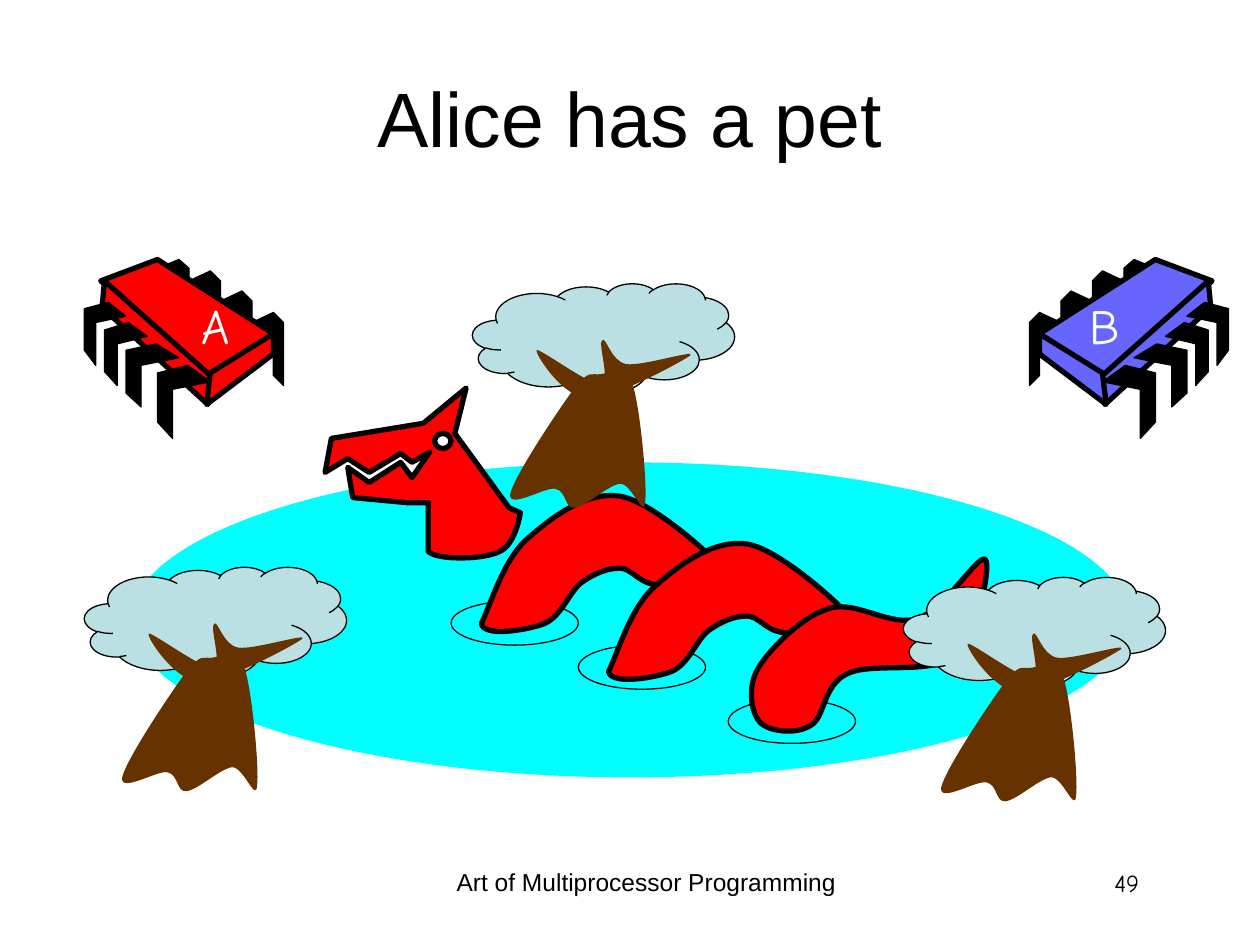
from dataclasses import dataclass

from lxml import etree
from pptx import Presentation
from pptx import util as u
from pptx.dml.color import RGBColor
from pptx.enum import shapes, text
from pptx.oxml.ns import qn


@dataclass(frozen=True)
class Theme:
    ink: str = "000000"
    paper: str = "FFFFFF"
    red: str = "FF0000"
    blue: str = "6666FF"
    water: str = "00FFFF"
    leaf: str = "BBE0E3"
    bark: str = "663300"
    sans: str = "Arial"
    hand: str = "Comic Neue"
    title: int = 44
    label: int = 28
    footer: int = 14
    thin: float = 0.75
    thick: float = 3


THEME = Theme()
PX = u.Inches(1) // 100
LEFT, CENTER, RIGHT = text.PP_ALIGN.LEFT, text.PP_ALIGN.CENTER, text.PP_ALIGN.RIGHT
ELLIPSE, CLOUD = shapes.MSO_SHAPE.OVAL, shapes.MSO_SHAPE.CLOUD_CALLOUT

BACK_LEG = [(0, 8), (17, 0), (25, 8), (25, 58), (17, 50), (17, 17), (0, 25)]
SHORT_LEG = [(0, 7), (17, 0), (25, 7), (25, 50), (17, 43), (17, 15), (0, 22)]
BACK_LEGS = [(BACK_LEG, 200, 248), (BACK_LEG, 175, 231),
             (BACK_LEG, 150, 215), (SHORT_LEG, 125, 206)]
CHIP_FACES = [
    [(125, 206), (217, 265), (165, 299), (80, 223)],
    [(83, 223), (167, 298), (165, 321), (81, 244)],
    [(217, 265), (217, 281), (164, 321), (167, 296)],
]
FRONT_LEGS = [
    [(149, 290), (167, 303), (137, 309), (137, 348), (125, 335), (125, 296)],
    [(124, 273), (142, 284), (112, 290), (112, 323), (100, 312), (100, 278)],
    [(102, 256), (117, 267), (93, 273), (93, 306), (83, 295), (83, 262)],
    [(86, 240), (100, 251), (76, 256), (76, 290), (67, 278), (67, 245)],
]
HUMP = [
    (382, 495), (384, 506, 419, 500, 432, 495), (446, 489, 452, 469, 462, 462),
    (472, 455, 482, 451, 492, 451), (501, 451, 506, 462, 520, 464),
    (535, 465, 584, 472, 580, 460), (575, 449, 520, 399, 493, 394),
    (465, 389, 436, 412, 417, 429), (399, 446, 389, 481, 382, 495),
]
HEAD = [
    (404, 403), (361, 344), (370, 308), (336, 336), (263, 348), (258, 375),
    (276, 364), (293, 375), (318, 360), (327, 367), (341, 359), (327, 379),
    (318, 367), (293, 383), (276, 371), (280, 395), (323, 399), (340, 399),
    (340, 438), (349, 445, 384, 444, 396, 438), (408, 433, 412, 413, 413, 407),
]
TAIL = [
    (782, 444), (777, 439, 749, 485, 728, 491), (707, 498, 679, 476, 658, 483),
    (637, 489, 611, 515, 602, 530), (593, 545, 596, 565, 603, 573),
    (610, 581, 632, 583, 643, 576), (655, 570, 653, 544, 672, 535),
    (691, 525, 739, 536, 757, 521), (776, 505, 787, 449, 782, 444),
]
TRUNK = [
    (81, 83), (93, 68, 94, 73, 102, 72), (109, 71, 121, 63, 127, 80),
    (133, 97, 139, 161, 137, 174), (136, 187, 126, 158, 117, 159),
    (108, 160, 90, 177, 81, 178), (73, 179, 75, 165, 66, 163),
    (58, 161, 28, 180, 30, 167), (33, 153, 69, 99, 81, 83),
]
BRANCHES = [
    (51, 53), (49, 55, 71, 90, 91, 91), (112, 92, 168, 61, 173, 57),
    (178, 52, 134, 66, 122, 64), (110, 62, 106, 42, 103, 45),
    (99, 47, 110, 78, 102, 80), (93, 81, 53, 51, 51, 53),
]


def shift(outline, dx, dy):
    return [tuple(n + (dy if i % 2 else dx) for i, n in enumerate(step))
            for step in outline]


def mirror(outline, width):
    return [(width - x, y) for x, y in outline]


class Painter:
    def __init__(self, page, theme):
        self.page = page
        self.theme = theme
        self.layer = page.shapes

    def group(self):
        self.layer = self.page.shapes.add_group_shape().shapes

    def ungroup(self):
        self.layer = self.page.shapes

    def paint(self, shape, fill, weight):
        shape.shadow.inherit = False
        if fill:
            shape.fill.solid()
            shape.fill.fore_color.rgb = RGBColor.from_string(fill)
        else:
            shape.fill.background()
        if weight:
            shape.line.width = u.Pt(weight)
            shape.line.color.rgb = RGBColor.from_string(self.theme.ink)
            etree.SubElement(shape.element.spPr.find(qn("a:ln")), qn("a:round"))
        else:
            shape.line.fill.background()

    def preset(self, kind, box, fill=None, weight=0):
        shape = self.layer.add_shape(kind, *(n * PX for n in box))
        self.paint(shape, fill, weight)
        return shape

    def outline(self, steps, fill, weight=0):
        points = [step[i:i + 2] for step in steps for i in range(0, len(step), 2)]
        builder = self.layer.build_freeform(*points[0], scale=PX)
        builder.add_line_segments(points[1:], close=True)
        shape = builder.convert_to_shape()
        lines = iter(list(shape.element.iter(qn("a:lnTo"))))
        for step in steps[1:]:
            line = next(lines)
            if len(step) == 6:
                line.tag = qn("a:cubicBezTo")
                for extra in (next(lines), next(lines)):
                    line.append(extra[0])
                    extra.getparent().remove(extra)
        self.paint(shape, fill, weight)

    def label(self, words, box, size, font, color, align=LEFT, wrap=True,
              anchor=text.MSO_ANCHOR.TOP):
        frame = self.page.shapes.add_textbox(*(n * PX for n in box)).text_frame
        frame.word_wrap = wrap
        frame.vertical_anchor = anchor
        if not wrap:
            frame.auto_size = text.MSO_AUTO_SIZE.SHAPE_TO_FIT_TEXT
        para = frame.paragraphs[0]
        para.text = words
        para.alignment = align
        para.font.size = u.Pt(size)
        para.font.name = font
        para.font.color.rgb = RGBColor.from_string(color)

    def chip(self, color, width=None):
        theme = self.theme
        back = [shift(*leg) for leg in BACK_LEGS]
        self.group()
        for parts, fill, weight in ((back, theme.ink, theme.thin),
                                    (CHIP_FACES, color, theme.thick),
                                    (FRONT_LEGS, theme.ink, theme.thin)):
            for part in parts:
                self.outline(mirror(part, width) if width else part, fill, weight)
        self.ungroup()

    def serpent(self):
        theme = self.theme
        self.group()
        for x, y in ((459, 512), (578, 555), (358, 477)):
            self.preset(ELLIPSE, (x, y, 101, 35), weight=theme.thin)
        for part in (HUMP, shift(HUMP, 101, 38), HEAD):
            self.outline(part, theme.red, theme.thick)
        self.preset(ELLIPSE, (345, 344, 13, 12), theme.paper, theme.thick)
        self.outline(TAIL, theme.red, theme.thick)
        self.ungroup()

    def tree(self, x, y):
        theme = self.theme
        self.group()
        crown = self.preset(CLOUD, (x, y, 208, 87), theme.leaf, theme.thin)
        crown.adjustments[0], crown.adjustments[1] = 0.02, 0.49
        for part in (TRUNK, BRANCHES):
            self.outline(shift(part, x, y), theme.bark)
        self.ungroup()


def main():
    deck = Presentation()
    deck.slide_width, deck.slide_height = 1000 * PX, 750 * PX
    painter = Painter(deck.slides.add_slide(deck.slide_layouts[6]), THEME)
    painter.label("49", (706, 684, 208, 50), THEME.footer, THEME.hand, THEME.ink, RIGHT)
    painter.label("Alice has a pet", (50, 30, 900, 125), THEME.title, THEME.sans,
                  THEME.ink, CENTER, anchor=text.MSO_ANCHOR.MIDDLE)
    painter.chip(THEME.red)
    painter.chip(THEME.blue, width=1042)
    painter.preset(ELLIPSE, (104, 367, 792, 250), THEME.water)
    for name, box in (("A", (143, 230, 49, 57)), ("B", (854, 230, 45, 57))):
        painter.label(name, box, THEME.label, THEME.hand, THEME.paper, RIGHT, wrap=False)
    painter.serpent()
    for x, y in ((375, 225), (717, 458), (67, 450)):
        painter.tree(x, y)
    painter.label("Art of Multiprocessor Programming", (342, 683, 342, 52),
                  THEME.footer, THEME.sans, THEME.ink, CENTER)
    deck.save("out.pptx")


if __name__ == "__main__":
    main()
